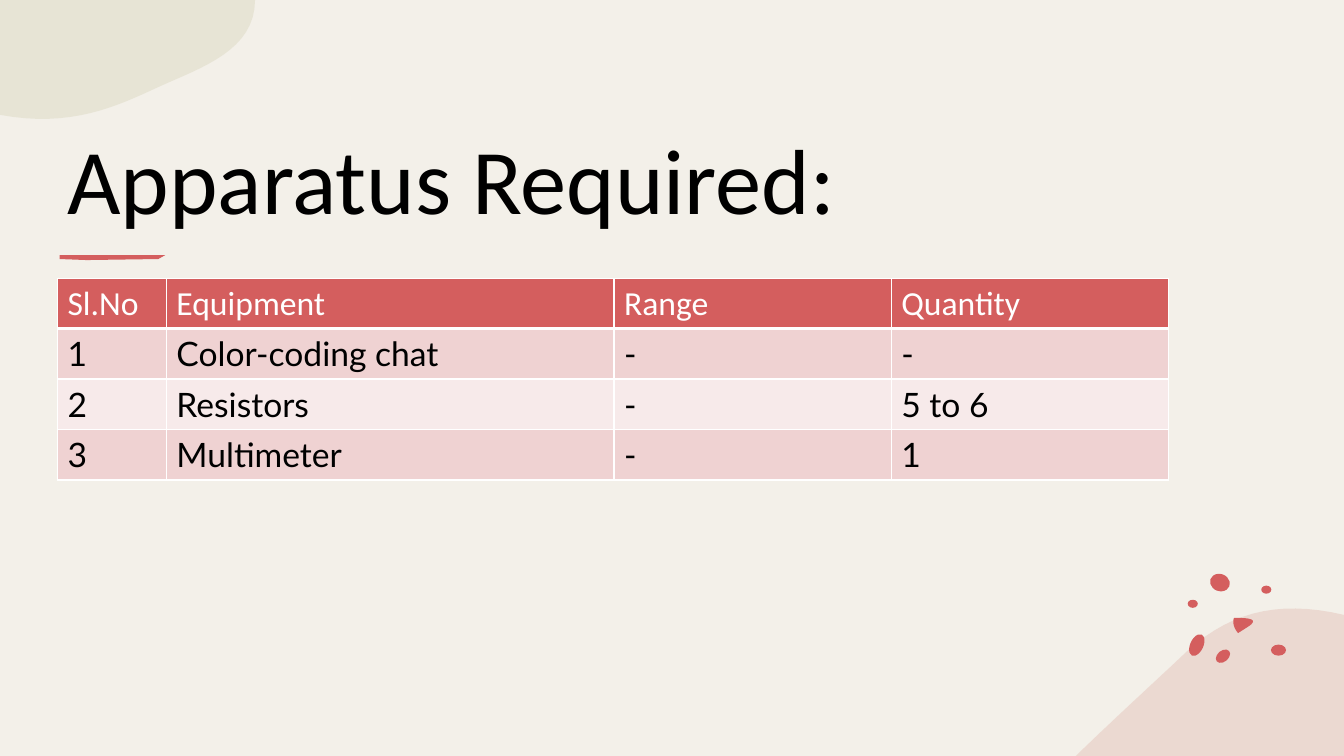
from dataclasses import dataclass

from lxml.etree import SubElement
from pptx import Presentation
from pptx.dml.color import RGBColor as RGB
from pptx.enum.shapes import MSO_SHAPE as Shape
from pptx.enum.text import MSO_ANCHOR as Anchor
from pptx.oxml.ns import qn
from pptx.util import Inches, Pt

COLS, ROWS = 1333, 750
CELL = Inches(7.5) // ROWS
STEPS = 16
CORAL, WHITE, BLACK = "D45E5E", "FFFFFF", "000000"


@dataclass(frozen=True)
class Outline:
    start: tuple[int, int]
    segments: list[tuple[int, ...]]
    color: str = CORAL
    alpha: int = 100


@dataclass(frozen=True)
class Dot:
    x: int
    y: int
    width: int
    height: int
    turn: int = 0


@dataclass(frozen=True)
class RowStyle:
    font: str
    color: str
    fill: str
    top: int = 1
    bottom: int = 1


OUTLINES = [
    Outline((1333, 610), [(1333, 750), (1067, 750), (1102, 716, 1137, 684, 1169, 654),
                          (1215, 608, 1265, 594, 1333, 610)], "E5C4BA", 50),
    Outline((0, 0), [(253, 0), (253, 50, 200, 67, 158, 86),
                     (115, 106, 70, 127, 0, 114)], "DCD9C3", 50),
    Outline((1224, 613), [(1234, 613, 1250, 613, 1239, 621), (1228, 628),
                          (1224, 624, 1222, 617, 1224, 613)]),
    Outline((59, 253), [(164, 253), (157, 257), (86, 258), (59, 257)]),
]
DOTS = [
    Dot(1213, 651, 16, 11, -40),
    Dot(1187, 640, 13, 23, 25),
    Dot(1268, 645, 15, 11),
    Dot(1210, 578, 20, 17, 20),
    Dot(1256, 585, 10, 8),
    Dot(1183, 599, 10, 8),
]

TABLE = [
    ["Sl.No", "Equipment", "Range", "Quantity"],
    ["1", "Color-coding chat", "-", "-"],
    ["2", "Resistors", "-", "5 to 6"],
    ["3", "Multimeter", "-", "1"],
]
COLUMN_SPANS = [108, 444, 275, 275]
ROW_SPAN = 50
STYLES = [
    RowStyle("Calibri", WHITE, CORAL, bottom=3),
    RowStyle("Lato", BLACK, "EFD2D2", top=3),
    RowStyle("Lato", BLACK, "F7EAEA"),
    RowStyle("Lato", BLACK, "EFD2D2"),
]


def paint(fill, color: str) -> None:
    fill.solid()
    fill.fore_color.rgb = RGB.from_string(color)


def finish(sp, color: str) -> None:
    sp.shadow.inherit = False
    sp.line.fill.background()
    paint(sp.fill, color)


def write(tf, text: str, font: str, size: int, color: str) -> None:
    tf.text = text
    for r in tf.paragraphs[0].runs:
        r.font.name, r.font.size, r.font.bold = font, Pt(size), False
        r.font.color.rgb = RGB.from_string(color)


def flatten(outline: Outline) -> list[tuple[float, float]]:
    points = [outline.start]
    for seg in outline.segments:
        if len(seg) == 2:
            points.append(seg)
            continue
        knots = [points[-1], seg[:2], seg[2:4], seg[4:]]
        for t in (i / STEPS for i in range(1, STEPS + 1)):
            weights = ((1 - t) ** 3, 3 * t * (1 - t) ** 2, 3 * t * t * (1 - t), t ** 3)
            points.append(tuple(sum(w * k[axis] for w, k in zip(weights, knots))
                                for axis in (0, 1)))
    return [(x * CELL, y * CELL) for x, y in points]


def draw_outline(s, outline: Outline) -> None:
    first, *rest = flatten(outline)
    builder = s.shapes.build_freeform(*first)
    builder.add_line_segments(rest, close=True)
    sp = builder.convert_to_shape()
    finish(sp, outline.color)
    if outline.alpha < 100:
        color = sp._element.spPr.find(".//" + qn("a:srgbClr"))
        SubElement(color, qn("a:alpha"), val=str(outline.alpha * 1000))


def draw_dot(s, dot: Dot) -> None:
    width, height = dot.width * CELL, dot.height * CELL
    sp = s.shapes.add_shape(Shape.OVAL, dot.x * CELL - width // 2,
                            dot.y * CELL - height // 2, width, height)
    sp.rotation = dot.turn
    finish(sp, CORAL)


def draw_title(s, text: str) -> None:
    tf = s.shapes.add_textbox(57 * CELL, 86 * CELL, 1102 * CELL, 145 * CELL).text_frame
    tf.word_wrap = True
    tf.vertical_anchor = Anchor.BOTTOM
    tf.margin_bottom = 0
    write(tf, text, "Calibri", 66, BLACK)


def set_borders(cell, style: RowStyle) -> None:
    tc_pr = cell._tc.get_or_add_tcPr()
    widths = {"lnL": 1, "lnR": 1, "lnT": style.top, "lnB": style.bottom}
    for side, width in widths.items():
        ln = SubElement(tc_pr, qn(f"a:{side}"), w=str(int(Pt(width))))
        SubElement(SubElement(ln, qn("a:solidFill")), qn("a:srgbClr"), val=WHITE)


def draw_table(s) -> None:
    table = s.shapes.add_table(len(TABLE), len(COLUMN_SPANS), 57 * CELL, 276 * CELL,
                               sum(COLUMN_SPANS) * CELL, len(TABLE) * ROW_SPAN * CELL).table
    table.first_row = table.horz_banding = False
    for column, span in zip(table.columns, COLUMN_SPANS):
        column.width = span * CELL
    for row, texts, style in zip(table.rows, TABLE, STYLES):
        row.height = ROW_SPAN * CELL
        for cell, text in zip(row.cells, texts):
            write(cell.text_frame, text, style.font, 24, style.color)
            set_borders(cell, style)
            paint(cell.fill, style.fill)


def main() -> None:
    prs = Presentation()
    prs.slide_width, prs.slide_height = COLS * CELL, ROWS * CELL
    s = prs.slides.add_slide(prs.slide_layouts[6])
    paint(s.background.fill, "F3F0E9")
    for outline in OUTLINES:
        draw_outline(s, outline)
    for dot in DOTS:
        draw_dot(s, dot)
    draw_title(s, "Apparatus Required:")
    draw_table(s)
    prs.save("out.pptx")


if __name__ == "__main__":
    main()
